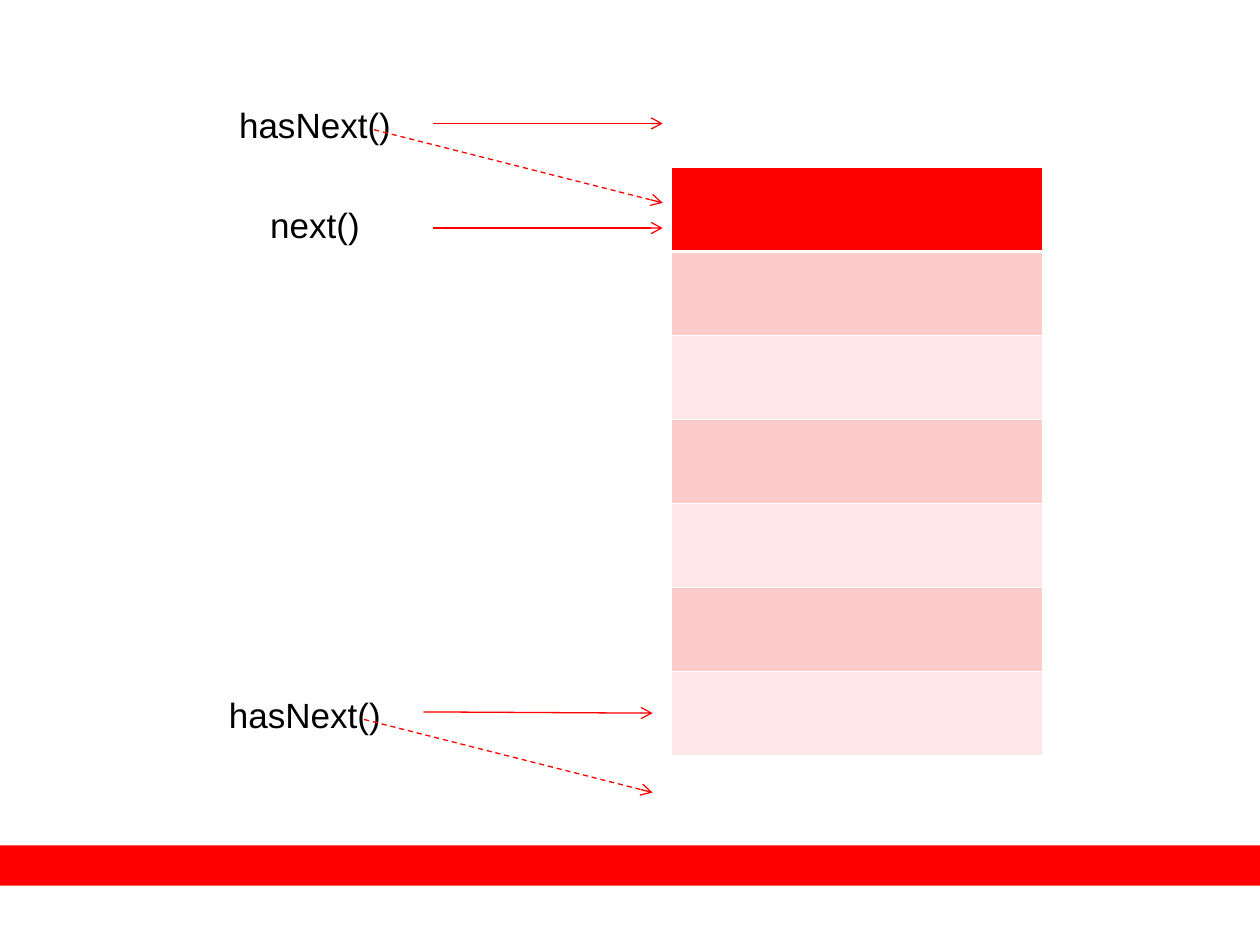
from lxml import etree
from pptx import Presentation
from pptx.dml.color import RGBColor
from pptx.enum.dml import MSO_LINE
from pptx.enum.shapes import MSO_CONNECTOR, MSO_SHAPE
from pptx.enum.text import PP_ALIGN
from pptx.oxml import parse_xml
from pptx.oxml.ns import nsdecls, qn
from pptx.util import Inches, Pt

COLORS = {"bar": "FF0000", "head": "FD0000", "odd": "FECBCB", "even": "FFE7E7",
          "arrow": "FE0000", "rule": "FFFFFF", "text": "000000"}

# Method calls: text, left, top
CALLS = [("hasNext()", 1.79, 0.81), ("next()", 1.79, 1.6), ("hasNext()", 1.71, 5.49)]

# Arrows: start, end, dashed
ARROWS = [
    ((3.44, 0.98), (5.26, 0.98), False),
    ((2.97, 1.03), (5.26, 1.61), True),
    ((3.44, 1.81), (5.26, 1.81), False),
    ((3.36, 5.65), (5.18, 5.66), False),
    ((2.89, 5.71), (5.18, 6.29), True),
]
ROWS = 7
LEFT, TOP, WIDTH, HEIGHT = 5.33, 1.33, 2.94, 4.67


def rgb(name):
    return RGBColor.from_string(COLORS[name])


def add_bar(slide):
    bar = slide.shapes.add_shape(MSO_SHAPE.RECTANGLE, 0, Inches(6.71), Inches(10), Inches(0.32))
    bar.shadow.inherit = False
    bar.fill.solid()
    bar.fill.fore_color.rgb = rgb("bar")
    bar.line.fill.background()


def set_borders(cell, top, bottom):
    props = cell._tc.get_or_add_tcPr()
    sides = [("lnL", 0.45), ("lnR", 0.45), ("lnT", top), ("lnB", bottom)]
    for spot, (side, width) in enumerate(sides):
        props.insert(spot, parse_xml(
            f'<a:{side} {nsdecls("a")} w="{Pt(width)}"><a:solidFill>'
            f'<a:srgbClr val="{COLORS["rule"]}"/></a:solidFill></a:{side}>'))


def add_list(slide):
    frame = slide.shapes.add_table(ROWS, 1, Inches(LEFT), Inches(TOP), Inches(WIDTH), Inches(HEIGHT))
    for i, row in enumerate(frame.table.rows):
        row.height = Inches(HEIGHT / ROWS)
        cell = row.cells[0]
        cell.fill.solid()
        cell.fill.fore_color.rgb = rgb("head" if i == 0 else "odd" if i % 2 else "even")
        # The rule under the head row is heavier
        set_borders(cell, 1.47 if i == 1 else 0.45, 1.47 if i == 0 else 0.45)


def add_call(slide, text, left, top):
    box = slide.shapes.add_textbox(Inches(left), Inches(top), Inches(1.42), Inches(0.4))
    frame = box.text_frame
    frame.word_wrap = True
    frame.text = text
    para = frame.paragraphs[0]
    para.alignment = PP_ALIGN.CENTER
    para.line_spacing = 0.9
    font = para.runs[0].font
    font.name, font.size = "Arial", Pt(20)
    font.color.rgb = rgb("text")


def add_arrow(slide, start, end, dashed):
    points = [Inches(v) for v in start + end]
    arrow = slide.shapes.add_connector(MSO_CONNECTOR.STRAIGHT, *points)
    arrow.line.color.rgb = rgb("arrow")
    arrow.line.width = Pt(0.75)
    if dashed:
        arrow.line.dash_style = MSO_LINE.DASH
    props = arrow._element.spPr
    etree.SubElement(props.find(qn("a:ln")), qn("a:tailEnd"), type="arrow")
    etree.SubElement(props, qn("a:effectLst"))


def main():
    deck = Presentation()
    deck.slide_width, deck.slide_height = Inches(10), Inches(7.5)
    slide = deck.slides.add_slide(deck.slide_layouts[6])
    add_bar(slide)
    add_list(slide)
    for call in CALLS:
        add_call(slide, *call)
    for arrow in ARROWS:
        add_arrow(slide, *arrow)
    deck.save("out.pptx")


if __name__ == "__main__":
    main()
